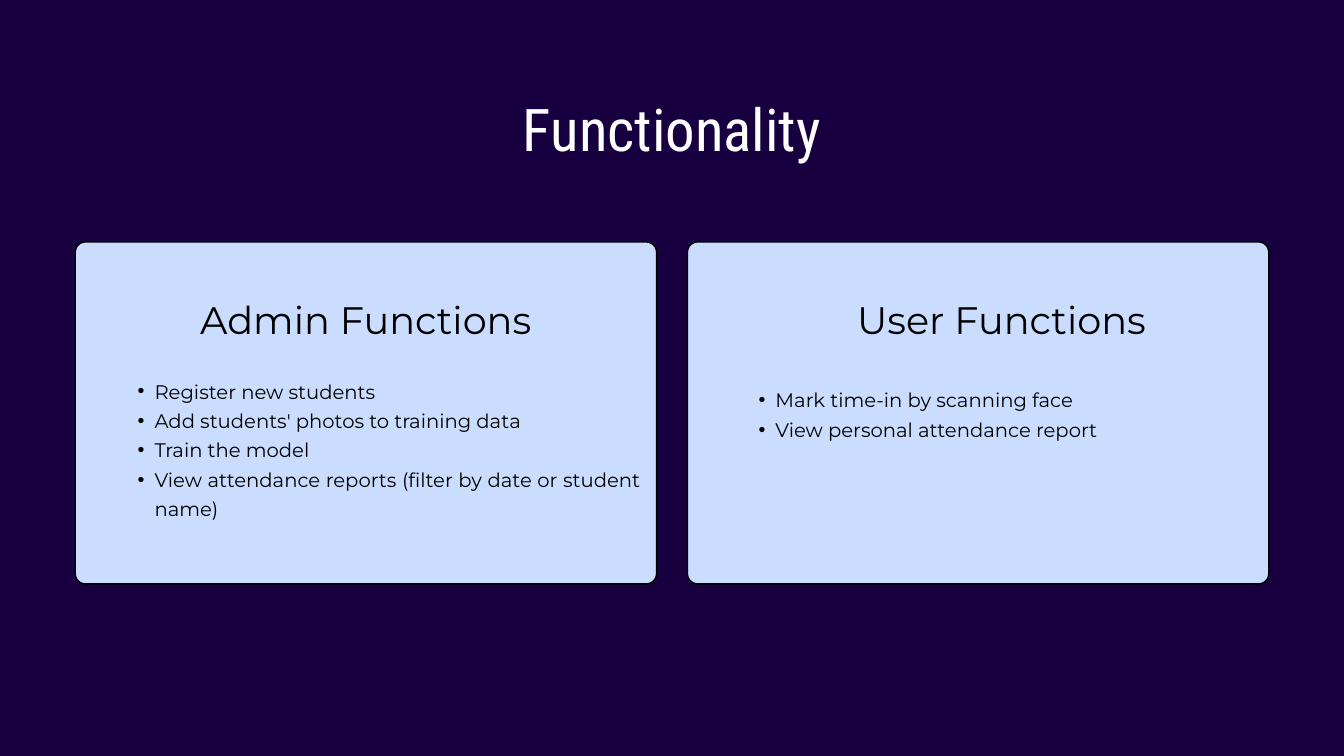
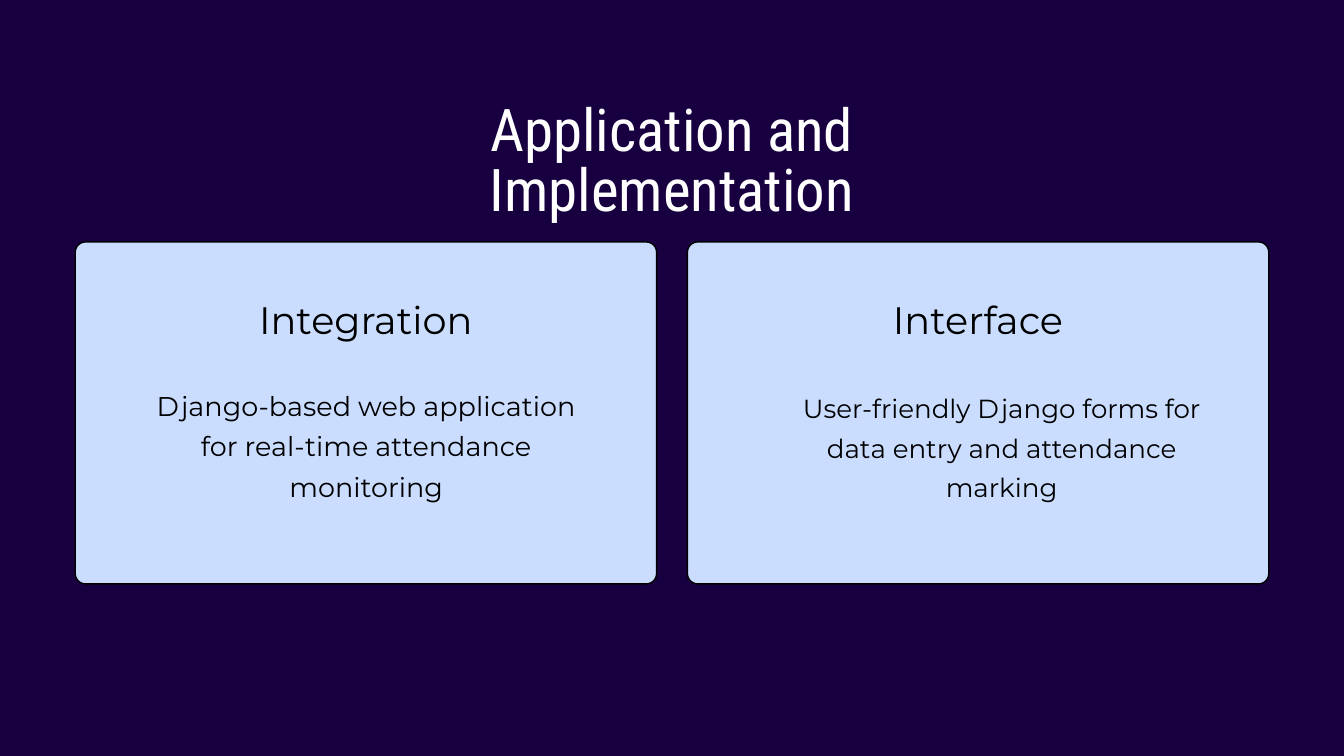
from pptx import Presentation
from pptx.dml.color import RGBColor
from pptx.enum.shapes import MSO_SHAPE
from pptx.enum.text import MSO_AUTO_SIZE, PP_ALIGN
from pptx.oxml.ns import qn
from pptx.util import Inches, Pt
from lxml.etree import SubElement

COLORS = {"background": "180040", "card": "CADDFF", "ink": "000000", "title": "FFFFFF"}
TITLE_FONT, TEXT_FONT = "Roboto Condensed", "Montserrat"
SLIDE_WIDTH, SLIDE_HEIGHT = Inches(20), Inches(11.25)

# Layout in percent of the slide's width or height
MARGIN, GAP = 5.6, 2.3
CARD_WIDTH = (100 - 2 * MARGIN - GAP) / 2
CARD_TOP, CARD_HEIGHT = 32, 45.24
TITLE_TOP, TITLE_WIDTH, TITLE_LINE = 13.78, 49.1, 8.1
HEADING_TOP, HEADING_WIDTH, HEADING_HEIGHT = 38.67, 38.65, 6.49

# Each body box is (indent in card, top, width, height)
SLIDES = [
    {"title": "Functionality", "title_lines": 1, "cards": [
        {"heading": "Admin Functions", "heading_indent": 2.3,
         "body": ["Register new students",
                  "Add students' photos to training data",
                  "Train the model",
                  "View attendance reports (filter by date or student name)"],
         "box": (3.4, 49.42, 38.65, 19.2), "size": 21, "bulleted": True},
        {"heading": "User Functions", "heading_indent": 4.05,
         "body": ["Mark time-in by scanning face", "View personal attendance report"],
         "box": (4.05, 50.58, 31.75, 7.56), "size": 21, "bulleted": True}]},
    {"title": "Application and Implementation", "title_lines": 2, "cards": [
        {"heading": "Integration", "heading_indent": 2.3,
         "body": ["Django-based web application for real-time attendance monitoring"],
         "box": (4.95, 50.4, 33.4, 15.47), "size": 29, "bulleted": False},
        {"heading": "Interface", "heading_indent": 2.3,
         "body": ["User-friendly Django forms for data entry and attendance marking"],
         "box": (7.5, 50.93, 31.75, 14.93), "size": 28, "bulleted": False}]},
]


def color(name):
    return RGBColor.from_string(COLORS[name])


def place(left, top, width, height):
    """Turn percentages of the slide into lengths."""
    return (int(SLIDE_WIDTH * left / 100), int(SLIDE_HEIGHT * top / 100),
            int(SLIDE_WIDTH * width / 100), int(SLIDE_HEIGHT * height / 100))


def add_bullet(paragraph):
    paragraph.level = 1
    properties = paragraph._p.get_or_add_pPr()
    properties.set("marL", str(Inches(0.5)))
    properties.set("indent", str(Inches(-0.25)))
    SubElement(properties, qn("a:buFont"), typeface="Arial")
    SubElement(properties, qn("a:buChar"), char="•")


def add_text(slide, box, lines, size, spacing, font=TEXT_FONT, ink="ink", bulleted=False):
    frame = slide.shapes.add_textbox(*place(*box)).text_frame
    frame.word_wrap = True
    frame.auto_size = MSO_AUTO_SIZE.SHAPE_TO_FIT_TEXT
    frame.margin_left = frame.margin_top = frame.margin_right = frame.margin_bottom = 0
    for index, line in enumerate(lines):
        paragraph = frame.add_paragraph() if index else frame.paragraphs[0]
        if bulleted:
            add_bullet(paragraph)
        paragraph.alignment = PP_ALIGN.JUSTIFY if bulleted else PP_ALIGN.CENTER
        paragraph.line_spacing = Pt(spacing)
        run = paragraph.add_run()
        run.text = line
        run.font.name = font
        run.font.size = Pt(size)
        run.font.color.rgb = color(ink)


def add_title(slide, title, line_count):
    box = ((100 - TITLE_WIDTH) / 2, TITLE_TOP, TITLE_WIDTH, TITLE_LINE * line_count)
    add_text(slide, box, [title], 63.1, 63.8, TITLE_FONT, "title")


def add_panel(slide, left):
    panel = slide.shapes.add_shape(
        MSO_SHAPE.ROUNDED_RECTANGLE, *place(left, CARD_TOP, CARD_WIDTH, CARD_HEIGHT))
    panel.adjustments[0] = 0.03
    panel.shadow.inherit = False
    panel.fill.solid()
    panel.fill.fore_color.rgb = color("card")
    panel.line.color.rgb = color("ink")
    panel.line.width = Pt(1.5)


def add_card(slide, column, card):
    left = MARGIN + column * (CARD_WIDTH + GAP)
    add_panel(slide, left)
    heading_box = (left + card["heading_indent"], HEADING_TOP, HEADING_WIDTH, HEADING_HEIGHT)
    add_text(slide, heading_box, [card["heading"]], 41, 53.3)
    indent, *rest = card["box"]
    add_text(slide, (left + indent, *rest), card["body"], card["size"],
             1.5 * card["size"], bulleted=card["bulleted"])


def add_slide(presentation, content):
    slide = presentation.slides.add_slide(presentation.slide_layouts[6])
    slide.background.fill.solid()
    slide.background.fill.fore_color.rgb = color("background")
    for column, card in enumerate(content["cards"]):
        add_card(slide, column, card)
    add_title(slide, content["title"], content["title_lines"])


def main():
    presentation = Presentation()
    presentation.slide_width, presentation.slide_height = SLIDE_WIDTH, SLIDE_HEIGHT
    for content in SLIDES:
        add_slide(presentation, content)
    presentation.save("out.pptx")


if __name__ == "__main__":
    main()
